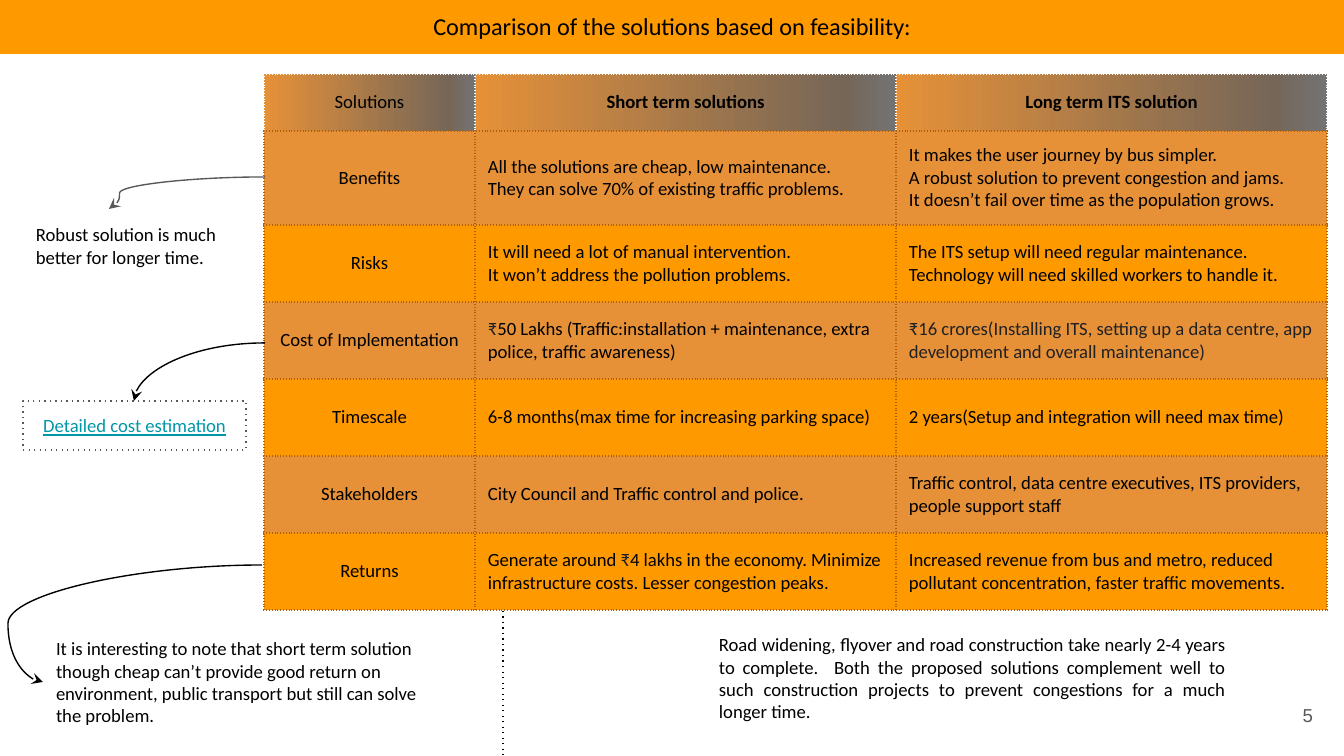
from lxml.etree import SubElement
from pptx import Presentation
from pptx.dml.color import RGBColor
from pptx.enum.shapes import MSO_CONNECTOR, MSO_SHAPE
from pptx.enum.text import MSO_ANCHOR, PP_ALIGN
from pptx.oxml.ns import qn
from pptx.util import Pt

PX = 914400 / 134.4  # EMU per pixel
LEFT, CENTER, RIGHT, JUSTIFY = PP_ALIGN.LEFT, PP_ALIGN.CENTER, PP_ALIGN.RIGHT, PP_ALIGN.JUSTIFY
TOP, MIDDLE = MSO_ANCHOR.TOP, MSO_ANCHOR.MIDDLE
RECTANGLE = MSO_SHAPE.RECTANGLE
STRAIGHT, CURVE = MSO_CONNECTOR.STRAIGHT, MSO_CONNECTOR.CURVE

BLACK, WHITE, GRAY, INK = "000000", "FFFFFF", "595959", "202124"
AMBER, ORANGE, BROWN, TEAL = "FF9900", "E69138", "B45F06", "0097A7"
HEADER_STOPS = [(0, ORANGE), (88, "756658"), (94, "746D66"), (97, "74706D"), (100, "737373")]

INSET = 13
COLUMNS = [211, 421, 431]
ROWS = [57, 94] + [77] * 5
# Each cell is a list of paragraphs; a paragraph is text or (text, colour) runs
COMPARISON = [
    [["Solutions"], ["Short term solutions"], ["Long term ITS solution"]],
    [["Benefits"],
     ["All the solutions are cheap, low maintenance.",
      "They can solve 70% of existing traffic problems."],
     ["It makes the user journey by bus simpler.",
      "A robust solution to prevent congestion and jams.",
      "It doesn’t fail over time as the population grows."]],
    [["Risks"],
     ["It will need a lot of manual intervention.",
      "It won’t address the pollution problems."],
     ["The ITS setup will need regular maintenance.",
      "Technology will need skilled workers to handle it."]],
    [["Cost of Implementation"],
     [[("₹", INK),
       ("50 Lakhs (Traffic:installation + maintenance, extra police, traffic awareness)", BLACK)]],
     [[("₹16 crores(Installing ITS, setting up a data centre, app development "
        "and overall maintenance)", INK)]]],
    [["Timescale"],
     ["6-8 months(max time for increasing parking space)"],
     ["2 years(Setup and integration will need max time)"]],
    [["Stakeholders"],
     ["City Council and Traffic control and police."],
     ["Traffic control, data centre executives, ITS providers, people support staff"]],
    [["Returns"],
     [[("Generate around ", BLACK), ("₹", INK),
       ("4 lakhs in the economy. Minimize infrastructure costs. Lesser congestion peaks.", BLACK)]],
     ["Increased revenue from bus and metro, reduced pollutant concentration, "
      "faster traffic movements."]],
]


def px(*values):
    return [round(value * PX) for value in values]


def rgb(color):
    return RGBColor.from_string(color)


def write(frame, paragraphs, align=LEFT, size=10, font="Calibri", color=BLACK,
          bold=False, underline=False):
    for index, content in enumerate(paragraphs):
        paragraph = frame.paragraphs[0] if index == 0 else frame.add_paragraph()
        paragraph.alignment = align
        runs = [(content, color)] if isinstance(content, str) else content
        for text, run_color in runs:
            run = paragraph.add_run()
            run.text = text
            run.font.size = Pt(size)
            run.font.name = font
            run.font.bold = bold
            run.font.underline = underline
            run.font.color.rgb = rgb(run_color)


def set_insets(holder):
    inset = px(INSET)[0]
    holder.margin_left = holder.margin_right = inset
    holder.margin_top = holder.margin_bottom = inset


def add_note(slide, box, text, anchor=TOP, **style):
    frame = slide.shapes.add_textbox(*px(*box)).text_frame
    frame.word_wrap = True
    frame.vertical_anchor = anchor
    set_insets(frame)
    write(frame, [text], **style)


def style_line(shape, color, dotted=False):
    shape.line.color.rgb = rgb(color)
    shape.line.width = Pt(0.75)
    line = shape._element.spPr.find(qn("a:ln"))
    if dotted:
        SubElement(line, qn("a:prstDash"), val="dot")
    return line


def add_box(slide, box, text, fill=None, line=None, **style):
    shape = slide.shapes.add_shape(RECTANGLE, *px(*box))
    shape.shadow.inherit = False
    if fill:
        shape.fill.solid()
        shape.fill.fore_color.rgb = rgb(fill)
    else:
        shape.fill.background()
    if line:
        style_line(shape, line, dotted=True)
    else:
        shape.line.fill.background()
    frame = shape.text_frame
    frame.word_wrap = True
    frame.vertical_anchor = TOP
    set_insets(frame)
    write(frame, [text], align=CENTER, **style)


def add_line(slide, kind, start, end, color=BLACK, dotted=False, arrow=None,
             bend=None, preset=None):
    connector = slide.shapes.add_connector(kind, *px(*start, *end))
    line = style_line(connector, color, dotted)
    properties = connector._element.spPr
    SubElement(properties, qn("a:effectLst"))
    if arrow:
        SubElement(line, qn(f"a:{arrow}"), type="stealth")
    geometry = properties.find(qn("a:prstGeom"))
    if preset:
        geometry.set("prst", preset)
    if bend is not None:
        guides = geometry.find(qn("a:avLst"))
        SubElement(guides, qn("a:gd"), name="adj1", fmla=f"val {bend}")


def add_color(parent, color):
    SubElement(parent, qn("a:srgbClr"), val=color)


def style_cell(cell, row):
    properties = cell._tc.get_or_add_tcPr()
    # Borders come before the fill
    for side in "LRTB":
        border = SubElement(properties, qn(f"a:ln{side}"), w=str(Pt(0.75)))
        color = WHITE if row == 0 and side != "B" else BROWN
        add_color(SubElement(border, qn("a:solidFill")), color)
        SubElement(border, qn("a:prstDash"), val="dot")
    if row == 0:
        gradient = SubElement(properties, qn("a:gradFill"))
        stops = SubElement(gradient, qn("a:gsLst"))
        for position, color in HEADER_STOPS:
            add_color(SubElement(stops, qn("a:gs"), pos=str(position * 1000)), color)
        SubElement(gradient, qn("a:lin"), ang="0", scaled="0")
    else:
        cell.fill.solid()
        cell.fill.fore_color.rgb = rgb(ORANGE if row % 2 else AMBER)


def add_comparison(slide, left, top):
    box = px(left, top, sum(COLUMNS), sum(ROWS))
    table = slide.shapes.add_table(len(ROWS), len(COLUMNS), *box).table
    table.first_row = table.horz_banding = False
    for column, width in zip(table.columns, px(*COLUMNS)):
        column.width = width
    for row, height in zip(table.rows, px(*ROWS)):
        row.height = height
    for r, contents in enumerate(COMPARISON):
        for c, paragraphs in enumerate(contents):
            cell = table.cell(r, c)
            cell.vertical_anchor = MIDDLE
            set_insets(cell)
            style_cell(cell, r)
            write(cell.text_frame, paragraphs, align=CENTER if r == 0 or c == 0 else LEFT,
                  bold=r == 0 and c > 0)


def main():
    deck = Presentation()
    deck.slide_width, deck.slide_height = px(1344, 756)
    slide = deck.slides.add_slide(deck.slide_layouts[6])

    # Title band and comparison table
    add_box(slide, (0, -2, 1344, 56), "Comparison of the solutions based on feasibility:",
            fill=AMBER, size=13)
    add_comparison(slide, 264, 74)

    # Cost link
    add_box(slide, (23, 401, 223, 49), "Detailed cost estimation", line=GRAY,
            color=TEAL, underline=True)

    # Remarks on returns and benefits, with their arrows
    add_note(slide, (43, 624, 415, 118),
             "It is interesting to note that short term solution though cheap can’t provide good "
             "return on environment, public transport but still can solve the problem.")
    add_line(slide, CURVE, (262, 565), (43, 682), arrow="tailEnd", bend=116000)
    add_note(slide, (23, 210, 216, 73), "Robust solution is much better for longer time.")
    add_line(slide, CURVE, (109, 209), (265, 177), color=GRAY, arrow="headEnd", bend=6800)

    # Divider and remark on road works
    add_line(slide, STRAIGHT, (503, 611), (503, 756), dotted=True)
    add_note(slide, (706, 620, 532, 118),
             "Road widening, flyover and road construction take nearly 2-4 years to complete.  "
             "Both the proposed solutions complement well to such construction projects to "
             "prevent congestions for a much longer time.", align=JUSTIFY)

    # Arrow from cost row to link
    add_line(slide, CURVE, (265, 343), (134, 401), arrow="tailEnd", preset="curvedConnector2")

    # Page number
    add_note(slide, (1246, 686, 80, 58), "5", anchor=MIDDLE, align=RIGHT, font="Arial", color=GRAY)

    deck.save("out.pptx")


if __name__ == "__main__":
    main()
